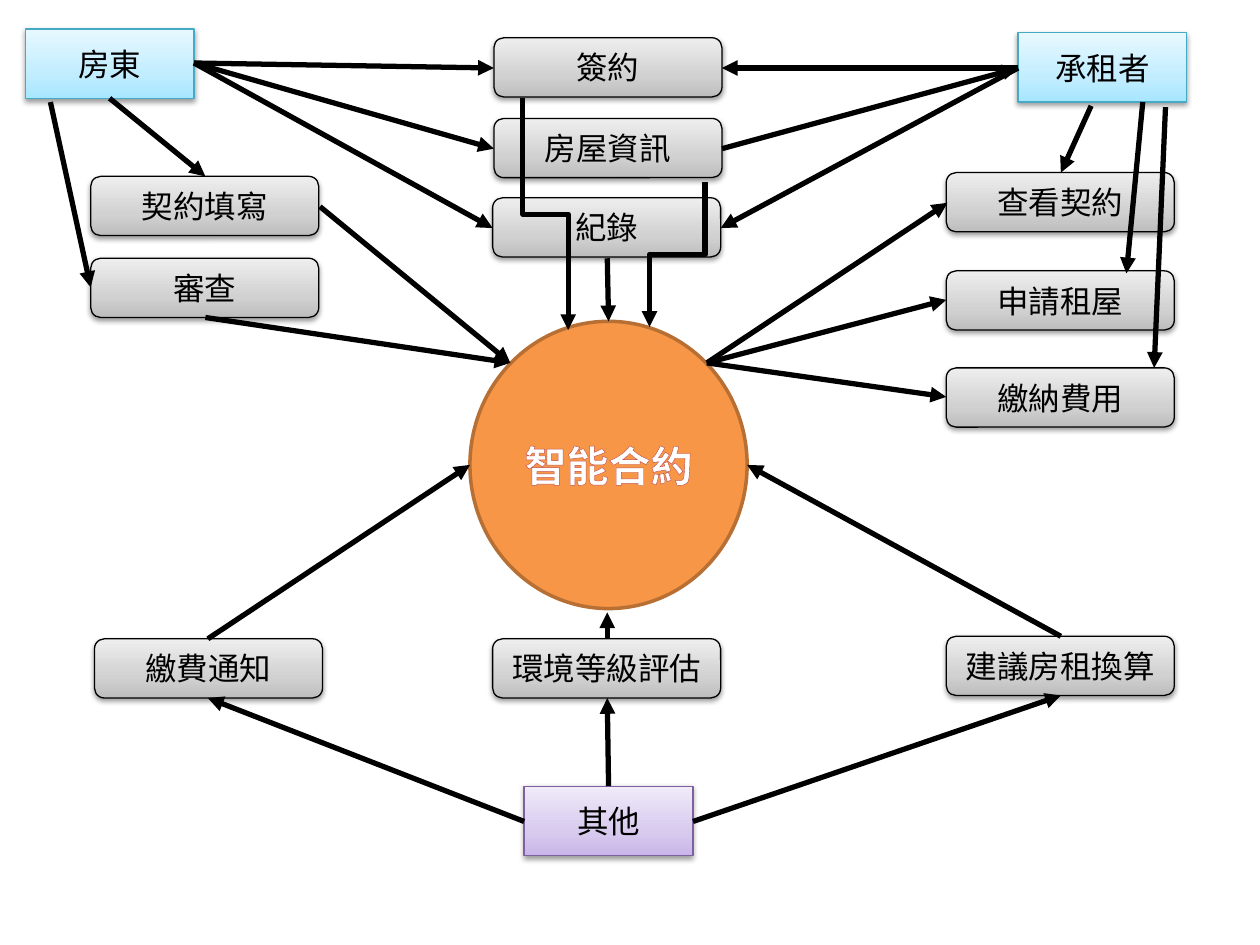
import copy

import lxml.etree
import pptx
import pptx.dml.color
import pptx.enum.shapes
import pptx.enum.text
import pptx.oxml.ns
import pptx.util

Inches = pptx.util.Inches
Pt = pptx.util.Pt
qn = pptx.oxml.ns.qn
RGB = pptx.dml.color.RGBColor.from_string
SHAPE = pptx.enum.shapes.MSO_SHAPE
CONNECTOR = pptx.enum.shapes.MSO_CONNECTOR

COLORS = {
    "black": "000000",
    "white": "FFFFFF",
    "orange": "F79646",
    "orange_line": "B76F34",
    "text_outline": "C0504D",
    "blue_line": "46AAC5",
    "purple_line": "7D60A0",
}
GRADIENTS = {
    "blue": ["A7E6FF", "C1EDFF", "E7F8FF"],
    "purple": ["C9B5E8", "D8CBEE", "F0EAF9"],
    "gray": ["BDBDBD", "D1D1D1", "EEEEEE"],
}

presentation = pptx.Presentation()
presentation.slide_width = Inches(10)
presentation.slide_height = Inches(7.5)
slide = presentation.slides.add_slide(presentation.slide_layouts[6])


def add_node(kind, left, top, width, height, text, size, text_color, line_color, line_width):
    shape = slide.shapes.add_shape(kind, Inches(left), Inches(top), Inches(width), Inches(height))
    shape.shadow.inherit = False
    shape.line.color.rgb = RGB(COLORS[line_color])
    shape.line.width = Pt(line_width)
    shape.text_frame.vertical_anchor = pptx.enum.text.MSO_ANCHOR.MIDDLE
    paragraph = shape.text_frame.paragraphs[0]
    paragraph.alignment = pptx.enum.text.PP_ALIGN.CENTER
    run = paragraph.add_run()
    run.text = text
    run.font.name = "Arial"
    run.font.size = Pt(size)
    run.font.color.rgb = RGB(COLORS[text_color])
    return shape


def add_arrow(kind, begin, end):
    connector = slide.shapes.add_connector(kind, *[Inches(value) for value in (*begin, *end)])
    connector.line.color.rgb = RGB(COLORS["black"])
    connector.line.width = Pt(3)
    properties = connector.element.spPr
    lxml.etree.SubElement(properties.find(qn("a:ln")), qn("a:tailEnd"), type="triangle")
    lxml.etree.SubElement(properties, qn("a:effectLst"))
    return connector


contract = add_node(SHAPE.OVAL, 3.73, 2.55, 2.2, 2.28, "智能合約", 24, "white", "orange_line", 2)
contract.fill.solid()
contract.fill.fore_color.rgb = RGB(COLORS["orange"])
contract_run = contract.text_frame.paragraphs[0].runs[0]
contract_run.font.bold = True
outline = lxml.etree.Element(qn("a:ln"), w=str(Pt(0.52)))
outline_fill = lxml.etree.SubElement(outline, qn("a:solidFill"))
lxml.etree.SubElement(outline_fill, qn("a:srgbClr"), val=COLORS["text_outline"])
contract_run.font.fill
contract_run._r.get_or_add_rPr().insert(0, outline)

role_style = (SHAPE.RECTANGLE, 1.34, 0.55)
action_style = (SHAPE.ROUNDED_RECTANGLE, 1.81, 0.47, "gray", "black")
boxes = [
    (0.2, 0.23, "房東", *role_style, "blue", "blue_line"),
    (4.16, 6.24, "其他", *role_style, "purple", "purple_line"),
    (8.08, 0.26, "承租者", *role_style, "blue", "blue_line"),
]
actions = [
    (0.72, 2.05, "審查"),
    (3.92, 0.94, "房屋資訊"),
    (7.51, 1.37, "查看契約"),
    (7.51, 2.92, "繳納費用"),
    (3.92, 0.3, "簽約"),
    (0.75, 5.07, "繳費通知"),
    (7.51, 5.05, "建議房租換算"),
    (3.91, 1.57, "紀錄"),
    (7.51, 2.15, "申請租屋"),
    (3.91, 5.07, "環境等級評估"),
    (0.72, 1.4, "契約填寫"),
]
boxes += [(*action, *action_style) for action in actions]

for left, top, text, kind, width, height, gradient, line_color in boxes:
    shape = add_node(kind, left, top, width, height, text, 18, "black", line_color, 0.75)
    shape.fill.gradient()
    shape.fill.gradient_angle = 90
    properties = shape.element.spPr
    stop_list = properties.find(qn("a:gradFill")).find(qn("a:gsLst"))
    stop_list.append(copy.deepcopy(stop_list[0]))
    for stop, position, color in zip(shape.fill.gradient_stops, (0, 0.35, 1), GRADIENTS[gradient]):
        stop.position = position
        stop.color.rgb = RGB(color)
    shadow = lxml.etree.SubElement(
        properties.find(qn("a:effectLst")), qn("a:outerShdw"),
        blurRad=str(Pt(3.1)), dist=str(Pt(1.6)), dir="5400000", rotWithShape="0",
    )
    shadow_color = lxml.etree.SubElement(shadow, qn("a:srgbClr"), val=COLORS["black"])
    lxml.etree.SubElement(shadow_color, qn("a:alpha"), val="38000")

landlord = (1.54, 0.5)
tenant = (8.08, 0.54)
contract_upper_left = (4.05, 2.88)
contract_upper_right = (5.61, 2.88)
arrows = [
    ((4.83, 6.24), (4.82, 5.54)),
    (landlord, (3.92, 0.54)),
    (tenant, (5.73, 0.54)),
    (landlord, (3.91, 1.81)),
    ((1.65, 5.07), (3.73, 3.69)),
    ((8.42, 5.05), (5.93, 3.69)),
    ((4.82, 5.07), (4.82, 4.86)),
    (contract_upper_right, (7.52, 1.61)),
    ((5.5, 6.52), (8.42, 5.52)),
    ((4.16, 6.52), (1.65, 5.54)),
    (contract_upper_right, (7.51, 2.38)),
    ((1.63, 2.52), contract_upper_left),
    (contract_upper_right, (7.51, 3.15)),
    (tenant, (5.72, 1.81)),
    ((2.54, 1.64), contract_upper_left),
    (landlord, (3.92, 1.18)),
    ((5.73, 1.18), tenant),
    ((4.82, 2.05), (4.83, 2.55)),
    ((0.87, 0.78), (1.63, 1.4)),
    ((0.4, 0.81), (0.72, 2.28)),
    ((9.25, 0.85), (9.16, 2.92)),
    ((9.07, 0.81), (8.94, 2.17)),
    ((8.66, 0.84), (8.42, 1.37)),
]
for begin, end in arrows:
    add_arrow(CONNECTOR.STRAIGHT, begin, end)

elbows = [
    ((4.8, 1.8), (5.95, 2.24), 90),
    ((5.25, 1.52), (3.41, 1.88), 270),
]
for begin, end, degrees in elbows:
    connector = add_arrow(CONNECTOR.ELBOW, begin, end)
    connector.element.spPr.find(qn("a:xfrm")).set("rot", str(degrees * 60000))

presentation.save("out.pptx")
